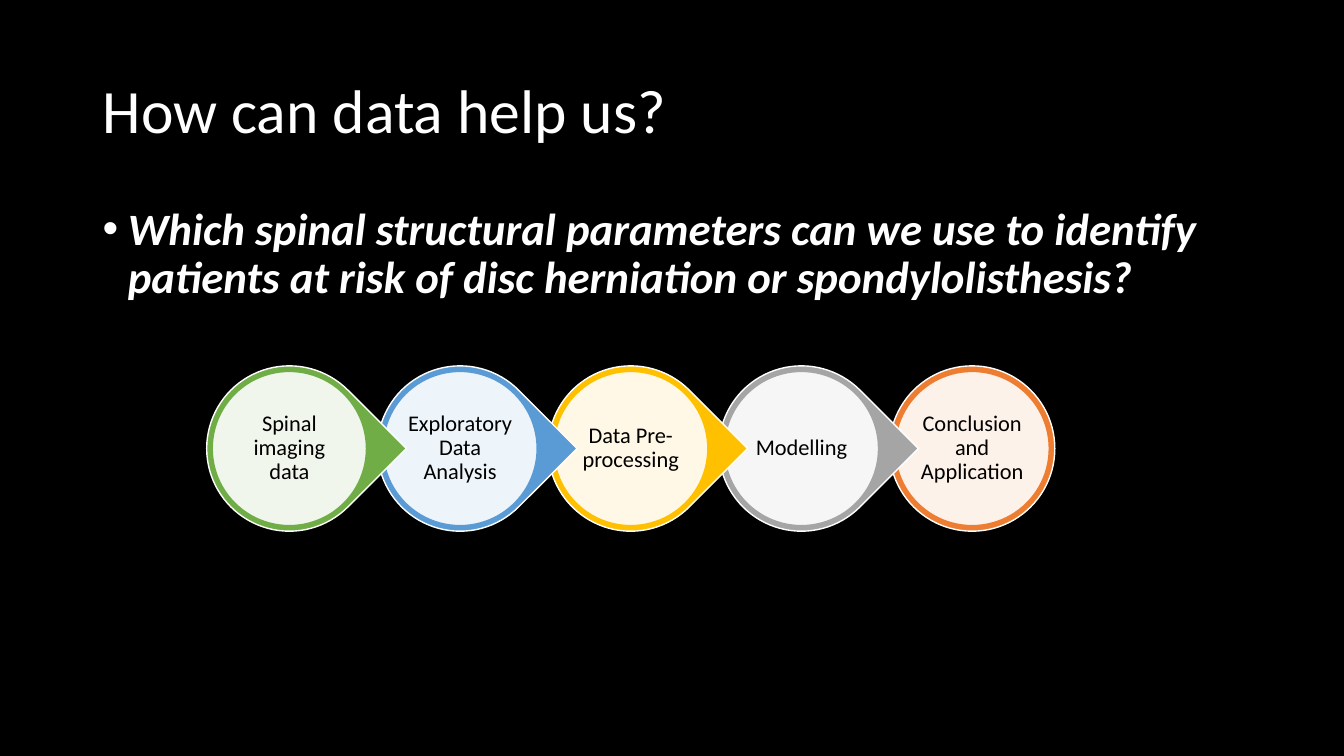
from lxml.etree import SubElement
from pptx import Presentation
from pptx.dml.color import RGBColor
from pptx.enum.shapes import MSO_SHAPE as Shape
from pptx.enum.text import MSO_ANCHOR as Anchor, PP_ALIGN as Align
from pptx.oxml.ns import qn
from pptx.util import Inches, Pt

WHITE, BLACK = "FFFFFF", "000000"
LEFT, WIDTH = 0.92, 11.5
START, TOP, STEP = 2.05, 3.63, 1.693
DROP, DISC, LABEL = 1.64, 1.53, 1.09
STAGES = [
    ("Spinal imaging data", "70AD47"),
    ("Exploratory Data Analysis", "5B9BD5"),
    ("Data Pre-processing", "FFC000"),
    ("Modelling", "A5A5A5"),
    ("Conclusion and Application", "ED7D31"),
]


def paint(fill, color):
    fill.solid()
    fill.fore_color.rgb = RGBColor.from_string(color)


def write(frame, text, size, color, align=Align.LEFT):
    frame.word_wrap = True
    para = frame.paragraphs[0]
    para.text = text
    para.alignment = align
    para.line_spacing = 0.9
    font = para.font
    font.name, font.size = "Calibri", Pt(size)
    paint(font.fill, color)
    return para


def center(col, size):
    inset = (DROP - size) / 2
    left = START + col * STEP + inset
    return [Inches(n) for n in (left, TOP + inset, size, size)]


def add_form(slide, kind, col, size, fill, line):
    form = slide.shapes.add_shape(kind, *center(col, size))
    form.shadow.inherit = False
    paint(form.fill, fill)
    paint(form.line.fill, line)
    form.line.width = Pt(1)
    return form


def add_stage(slide, col, text, color, last):
    kind = Shape.OVAL if last else Shape.TEAR
    drop = add_form(slide, kind, col, DROP, color, WHITE)
    if not last:
        drop.adjustments[0] = 1
        drop.rotation = 45
    disc = add_form(slide, Shape.OVAL, col, DISC, WHITE, color)
    tint = disc.fill._xPr.find(qn("a:solidFill"))[0]
    SubElement(tint, qn("a:alpha"), val="90000")
    frame = slide.shapes.add_textbox(*center(col, LABEL)).text_frame
    frame.margin_left = frame.margin_right = Inches(0.02)
    frame.margin_top = frame.margin_bottom = Inches(0.02)
    frame.vertical_anchor = Anchor.MIDDLE
    write(frame, text, 16, BLACK, Align.CENTER)


def add_title(slide, text):
    title = slide.shapes.title
    title.left, title.top = Inches(LEFT), Inches(0.4)
    title.width, title.height = Inches(WIDTH), Inches(1.45)
    title.text_frame.vertical_anchor = Anchor.MIDDLE
    write(title.text_frame, text, 44, WHITE)


def add_bullet(slide, text):
    area = [Inches(n) for n in (LEFT, 2, WIDTH, 1.35)]
    frame = slide.shapes.add_textbox(*area).text_frame
    props = frame.paragraphs[0]._p.get_or_add_pPr()
    props.set("marL", str(Inches(0.25)))
    props.set("indent", str(Inches(-0.25)))
    SubElement(props, qn("a:buFont"), typeface="Arial")
    SubElement(props, qn("a:buChar"), char="•")
    para = write(frame, text, 32, WHITE)
    para.font.bold = para.font.italic = True


def main():
    deck = Presentation()
    deck.slide_width, deck.slide_height = Inches(13.33), Inches(7.5)
    slide = deck.slides.add_slide(deck.slide_layouts[5])
    paint(slide.background.fill, BLACK)
    add_title(slide, "How can data help us?")
    add_bullet(slide, "Which spinal structural parameters can we use to identify "
                      "patients at risk of disc herniation or spondylolisthesis?")
    final = len(STAGES) - 1
    for col, (text, color) in reversed(list(enumerate(STAGES))):
        add_stage(slide, col, text, color, col == final)
    deck.save("out.pptx")


if __name__ == "__main__":
    main()
